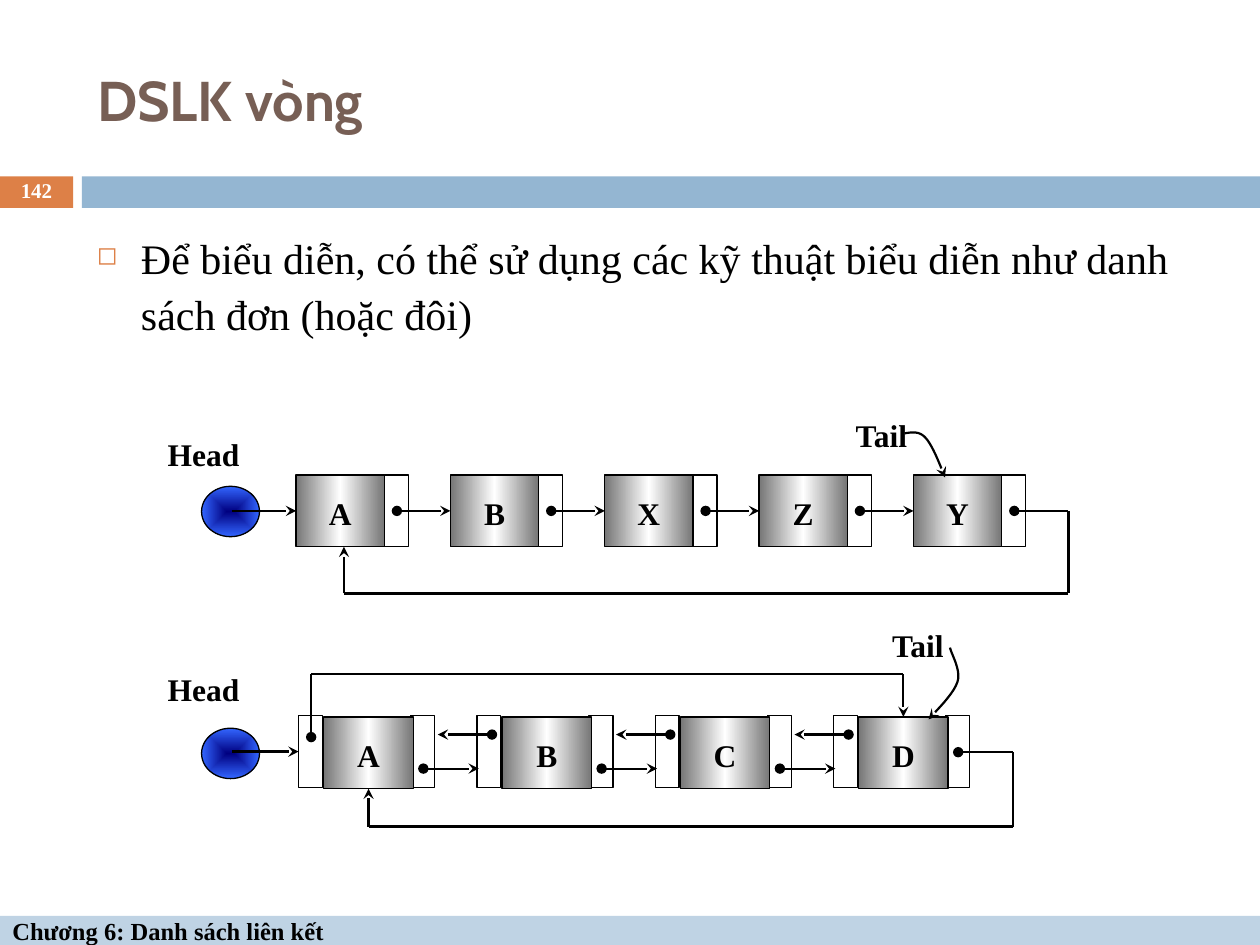
from lxml import etree
from pptx import Presentation
from pptx.dml.color import RGBColor
from pptx.enum.shapes import MSO_CONNECTOR, MSO_SHAPE
from pptx.enum.text import MSO_ANCHOR, PP_ALIGN
from pptx.oxml import parse_xml
from pptx.oxml.ns import nsdecls, qn
from pptx.util import Inches, Pt

RECT, OVAL = MSO_SHAPE.RECTANGLE, MSO_SHAPE.OVAL
STRAIGHT = MSO_CONNECTOR.STRAIGHT
LEFT, CENTER = PP_ALIGN.LEFT, PP_ALIGN.CENTER
MIDDLE, TOP = MSO_ANCHOR.MIDDLE, MSO_ANCHOR.TOP
SERIF = "Times New Roman"
COLORS = {
    "orange": "DD8047", "blue": "94B6D2", "pale": "BFD3E4", "brown": "775F55",
    "black": "000000", "white": "FFFFFF", "grey": "767676",
    "navy": "000080", "bright": "3366FF",
}
GRADIENTS = {
    "steel": ([(0, "grey"), (50, "white"), (100, "grey")], '<a:lin ang="0" scaled="0"/>'),
    "glow": ([(0, "navy"), (100, "bright")],
             '<a:path path="rect"><a:fillToRect l="50000" t="50000" r="50000" b="50000"/></a:path>'),
}


def add_box(kind, left, top, width, height, fill=None, outline=False, text="",
            size=18, color="black", align=CENTER, margins=(0, 0, 0, 0)):
    """Add a preset shape, or a text box when kind is None, with bold text."""
    frame = [Inches(value) for value in (left, top, width, height)]
    if kind is None:
        box = page.shapes.add_textbox(*frame)
    else:
        box = page.shapes.add_shape(kind, *frame)
        box.shadow.inherit = False
        box.fill.background()
        if fill in GRADIENTS:
            stops, direction = GRADIENTS[fill]
            stop_xml = "".join(
                f'<a:gs pos="{pos * 1000}"><a:srgbClr val="{COLORS[name]}"/></a:gs>'
                for pos, name in stops)
            properties = box._element.spPr
            properties.replace(properties.find(qn("a:noFill")), parse_xml(
                f'<a:gradFill {nsdecls("a")} rotWithShape="1">'
                f'<a:gsLst>{stop_xml}</a:gsLst>{direction}</a:gradFill>'))
        elif fill:
            box.fill.solid()
            box.fill.fore_color.rgb = RGBColor.from_string(COLORS[fill])
        if outline:
            box.line.color.rgb = RGBColor.from_string(COLORS["black"])
            box.line.width = Pt(0.75)
        else:
            box.line.fill.background()
    if text:
        body = box.text_frame
        body.word_wrap = True
        body.vertical_anchor = MIDDLE
        body.margin_left, body.margin_top, body.margin_right, body.margin_bottom = (
            Inches(margin) for margin in margins)
        para = body.paragraphs[0]
        para.text = text
        para.alignment = align
        para.font.name, para.font.size, para.font.bold = SERIF, Pt(size), True
        para.font.color.rgb = RGBColor.from_string(COLORS[color])
    return box


def add_line(points, head=None, tail=None):
    """Draw a connector for two points, an open outline for more."""
    places = [(Inches(x), Inches(y)) for x, y in points]
    if len(places) == 2:
        line = page.shapes.add_connector(STRAIGHT, *places[0], *places[1])
    else:
        builder = page.shapes.build_freeform(*places[0])
        builder.add_line_segments(places[1:], close=False)
        line = builder.convert_to_shape()
        line.fill.background()
    line.line.color.rgb = RGBColor.from_string(COLORS["black"])
    line.line.width = Pt(1.25)
    for tag, end in (("a:headEnd", head), ("a:tailEnd", tail)):
        if end:
            etree.SubElement(line.line._get_or_add_ln(), qn(tag), type=end)
    etree.SubElement(line._element.spPr, qn("a:effectLst"))
    return line


deck = Presentation()
deck.slide_width, deck.slide_height = Inches(10), Inches(7.5)
page = deck.slides.add_slide(deck.slide_layouts[5])

# Bands, footer and page number
PADDING = (0.1, 0.05, 0.1, 0.05)
add_box(RECT, 0, 1.4, 0.58, 0.25, "orange")
add_box(RECT, 0.65, 1.4, 9.35, 0.25, "blue")
add_box(RECT, 0, 7.27, 10, 0.23, "pale", text="Chương 6: Danh sách liên kết",
        size=14, align=LEFT, margins=PADDING)
number = add_box(None, 0, 1.39, 0.58, 0.27, text="142", size=12, color="white",
                 margins=PADDING)
number.text_frame.paragraphs[0].line_spacing = 0.8

# Title
title = page.shapes.title
title.left, title.top, title.width, title.height = (
    Inches(value) for value in (0.67, 0.25, 8.92, 1.08))
title.text_frame.text = "DSLK vòng"
title.text_frame.vertical_anchor = MIDDLE
para = title.text_frame.paragraphs[0]
para.alignment = LEFT
para.font.name, para.font.size, para.font.bold = "Cabin", Pt(32), True
para.font.color.rgb = RGBColor.from_string(COLORS["brown"])

# Bulleted statement
statement = page.shapes.add_textbox(Inches(0.67), Inches(1.75), Inches(8.92), Inches(4.92))
statement.text_frame.word_wrap = True
statement.text_frame.vertical_anchor = TOP
para = statement.text_frame.paragraphs[0]
para.text = ("Để biểu diễn, có thể sử dụng các kỹ thuật biểu diễn "
             "như danh sách đơn (hoặc đôi)")
properties = para._p.get_or_add_pPr()
properties.set("marL", str(Inches(0.35)))
properties.set("indent", str(-Inches(0.35)))
bullet_color = etree.SubElement(properties, qn("a:buClr"))
etree.SubElement(bullet_color, qn("a:srgbClr"), val=COLORS["orange"])
etree.SubElement(properties, qn("a:buSzPct"), val="60000")
etree.SubElement(properties, qn("a:buChar"), char="◻")
para.line_spacing = Pt(32)
para.font.name, para.font.size = SERIF, Pt(24)
para.font.color.rgb = RGBColor.from_string(COLORS["black"])

CELL, DATA, HEIGHT = 0.19, 0.7, 0.57
NODE_MARGINS = (0, 0.03, 0, 0)

# Singly linked ring
top, step = 3.77, 1.225
middle = top + HEIGHT / 2
lefts = [2.35 + step * i for i in range(5)]
nodes = []
for left, name in zip(lefts, "ABXZY"):
    add_box(RECT, left + DATA, top, CELL, HEIGHT, "white", True)
    nodes.append(add_box(RECT, left, top, DATA, HEIGHT, "steel", True, name,
                         margins=NODE_MARGINS))
add_box(OVAL, 1.6, 3.86, 0.46, 0.4, "glow", True)
add_line([(1.84, middle), (lefts[0], middle)], tail="stealth").end_connect(nodes[0], 1)
for left, following in zip(lefts, nodes[1:]):
    link = add_line([(left + 0.8, middle), (left + step, middle)], "oval", "stealth")
    link.end_connect(following, 1)
add_line([(lefts[-1] + 0.8, middle), (8.48, middle)], head="oval")
add_line([(8.48, middle), (8.48, 4.71)])
add_line([(8.48, 4.71), (2.73, 4.71)])
add_line([(2.73, 4.71), (2.73, 4.34)], tail="stealth")

# Doubly linked ring
top, step = 5.68, 1.415
middle = top + HEIGHT / 2
lefts = [2.37 + step * i for i in range(4)]
nodes, previous_cells = [], []
for i, (left, name) in enumerate(zip(lefts, "ABCD")):
    add_box(RECT, left + 0.89, top, CELL, HEIGHT, outline=True)
    nodes.append(add_box(RECT, left + 0.2, top + 0.01, DATA + 0.01, HEIGHT, "steel",
                         True, name, margins=NODE_MARGINS))
    previous_cells.append(add_box(RECT, left, top, CELL, HEIGHT, outline=True))
    if i > 0:
        add_line([(left + 0.12, 5.83), (left - 0.31, 5.83)], "oval", "stealth")
    if i < 3:
        add_line([(left + 0.99, 6.1), (left + 1.43, 6.1)], "oval", "stealth")
add_box(OVAL, 1.6, 5.78, 0.46, 0.4, "glow", True)
add_line([(1.84, middle), (lefts[0], middle)], tail="stealth").end_connect(previous_cells[0], 1)
first_center, last_center = (left + 0.555 for left in (lefts[0], lefts[-1]))
add_line([(lefts[-1] + 0.99, 5.97), (8.04, 5.97)], head="oval")
add_line([(8.04, 5.97), (8.04, 6.56)])
add_line([(8.04, 6.56), (first_center, 6.56)])
add_line([(first_center, 6.56), (first_center, 6.26)], tail="stealth").end_connect(nodes[0], 2)
add_line([(2.47, 5.35), (2.47, 5.85)], tail="oval")
add_line([(last_center, 5.35), (2.47, 5.35)])
add_line([(last_center, 5.35), (last_center, 5.69)], tail="stealth").end_connect(nodes[-1], 0)

# Head and Tail labels
for left, top, width, label in ((1.19, 3.4, 0.85, "Head"), (6.64, 3.25, 0.71, "Tail"),
                                (1.19, 5.27, 0.85, "Head"), (6.93, 4.92, 0.71, "Tail")):
    add_box(None, left, top, width, 0.4, text=label)

# Curved Tail pointers: each is two cubic curves sampled into short segments
SEGMENTS = 10
for controls in (
    [(7.18, 3.44), (7.24, 3.43), (7.3, 3.42), (7.35, 3.48), (7.4, 3.54), (7.45, 3.66), (7.5, 3.79)],
    [(7.54, 5.14), (7.55, 5.19), (7.63, 5.32), (7.6, 5.41), (7.57, 5.51), (7.42, 5.65), (7.37, 5.71)],
):
    points = [controls[0]]
    for start in (0, 3):
        for number in range(1, SEGMENTS + 1):
            t = number / SEGMENTS
            weights = ((1 - t) ** 3, 3 * t * (1 - t) ** 2, 3 * t * t * (1 - t), t ** 3)
            points.append(tuple(
                sum(weight * point[axis] for weight, point in zip(weights, controls[start:start + 4]))
                for axis in (0, 1)))
    add_line(points, tail="stealth")

deck.save("out.pptx")
